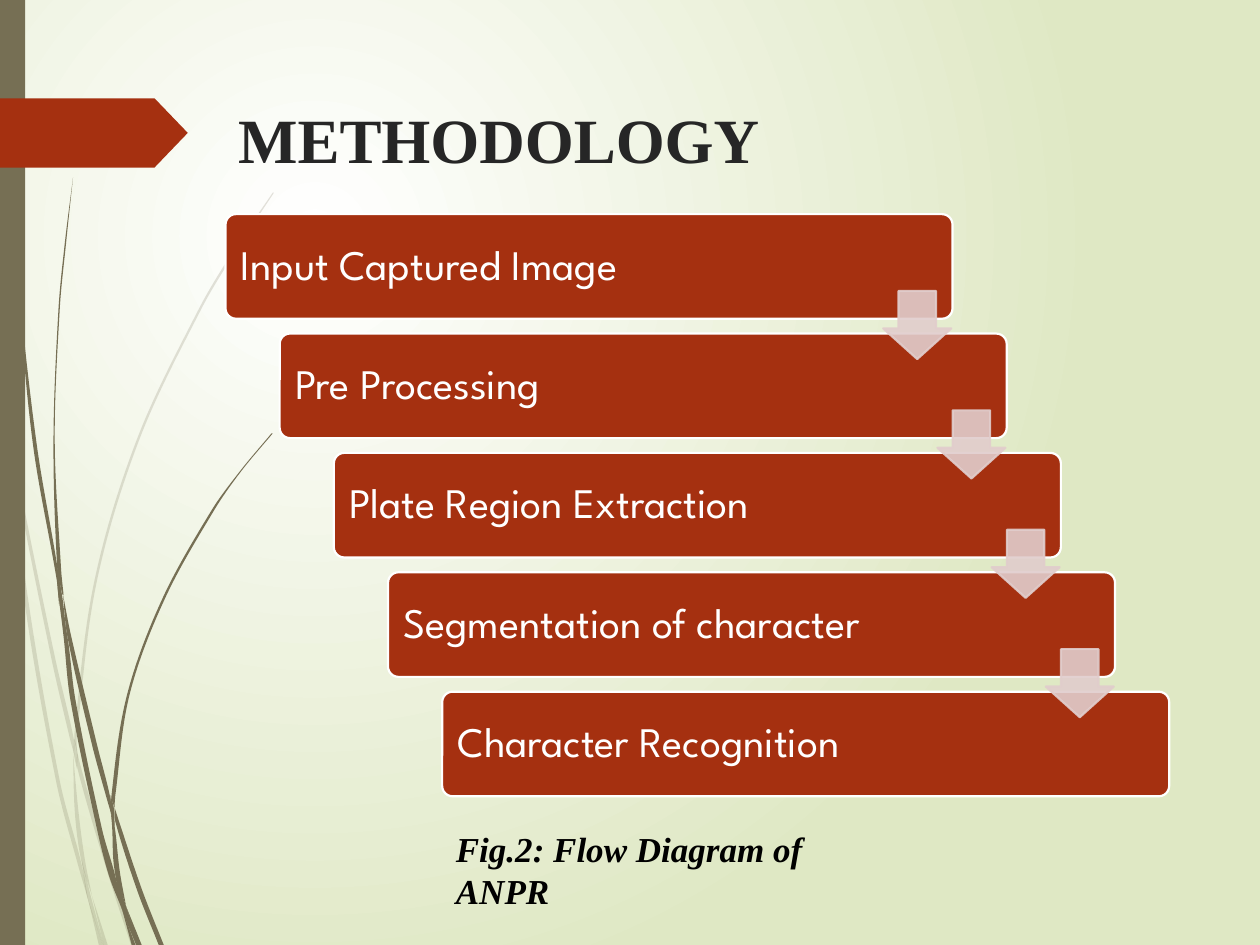
from lxml import etree
from pptx import Presentation
from pptx.dml.color import RGBColor
from pptx.enum.shapes import MSO_SHAPE
from pptx.enum.text import MSO_ANCHOR, PP_ALIGN
from pptx.oxml.ns import qn
from pptx.util import Inches, Pt

RECT, ROUND_RECT = MSO_SHAPE.RECTANGLE, MSO_SHAPE.ROUNDED_RECTANGLE
DOWN_ARROW, PENTAGON = MSO_SHAPE.DOWN_ARROW, MSO_SHAPE.PENTAGON
TOP, MIDDLE, LEFT = MSO_ANCHOR.TOP, MSO_ANCHOR.MIDDLE, PP_ALIGN.LEFT

COLORS = {"red": "A53010", "olive": "766F54", "pink": "E1CDCC", "white": "FFFFFF",
          "green": "DFE8C4", "title": "262626", "black": "000000"}
SERIF, SANS = "Times New Roman", "League Spartan"

STEPS = ["Input Captured Image", "Pre Processing", "Plate Region Extraction",
         "Segmentation of character", "Character Recognition"]
STEP_X, STEP_Y, LAST_Y = 1.79, 1.7, 5.49
STEP_DX, STEP_DY = 0.43, (LAST_Y - STEP_Y) / (len(STEPS) - 1)

# Pieces of grass blades, top to bottom: x of the middle, y, width
FAINT_BLADES = [
    [(0, 2.82, 0), (0.06, 3.22, 0.02), (0.08, 3.5, 0)],
    [(0.1, 3.45, 0), (0.13, 3.76, 0.02), (0.42, 5.21, 0.03), (0.57, 5.86, 0.03),
     (0.59, 5.99, 0)],
    [(0.61, 5.96, 0), (0.63, 6.1, 0.03), (0.87, 6.93, 0.03), (1.06, 7.5, 0.04)],
    [(0.73, 7.11, 0), (0.84, 7.5, 0.03)],
    [(0.08, 3.5, 0), (0.2, 4.7, 0.03), (0.46, 6.2, 0.03), (0.63, 6.85, 0.03),
     (0.7, 7.14, 0)],
    [(0.58, 5.99, 0), (0.61, 6.46, 0.03), (0.66, 6.83, 0.03), (0.73, 7.11, 0)],
    [(2.17, 1.53, 0.01), (1.87, 1.98, 0.02), (1.59, 2.45, 0.02), (1.1, 3.48, 0.02),
     (0.76, 4.61, 0.02), (0.6, 5.84, 0.02), (0.61, 5.96, 0)],
    [(0.7, 7.14, 0), (0.8, 7.5, 0.03)],
    [(0.59, 5.86, 0), (0.6, 5.97, 0.03), (0.61, 6.1, 0)],
    [(0.65, 6.83, 0), (0.68, 6.99, 0.02), (0.71, 7.13, 0.03), (0.82, 7.5, 0.01)],
]
DARK_BLADES = [
    [(0.03, 0, 0.01), (0.05, 1.1, 0.01), (0.15, 2.33, 0.01), (0.28, 3.55, 0.03),
     (0.46, 4.6, 0.02), (0.47, 4.81, 0)],
    [(0.5, 4.72, 0), (0.55, 5.05, 0.03), (0.75, 5.91, 0.04), (0.86, 6.33, 0.03),
     (0.88, 6.45, 0)],
    [(0.91, 6.41, 0), (0.93, 6.52, 0.03), (1.11, 7.07, 0.04), (1.28, 7.5, 0.04)],
    [(0.47, 4.77, 0), (0.52, 5.05, 0.03), (0.58, 5.56, 0.04), (0.79, 6.58, 0.04),
     (0.89, 6.95, 0.05), (0.97, 7.22, 0)],
    [(0.58, 1.41, 0), (0.52, 1.93, 0.01), (0.47, 2.45, 0.01), (0.43, 3.49, 0.01),
     (0.47, 4.51, 0.03), (0.5, 4.72, 0.01)],
    [(1, 7.19, 0), (1.11, 7.5, 0.03)],
    [(0.45, 4.49, 0), (0.48, 4.74, 0.03), (0.53, 5.05, 0)],
    [(2.16, 3.44, 0.01), (1.91, 3.74, 0.01), (1.69, 4.05, 0.02), (1.3, 4.75, 0.02),
     (1.02, 5.51, 0.02), (0.9, 6.32, 0.03), (0.91, 6.41, 0)],
    [(0.97, 7.22, 0), (1.06, 7.5, 0.03)],
    [(0.88, 6.45, 0), (0.9, 6.56, 0.02), (0.93, 6.91, 0.04), (1, 7.19, 0)],
    [(0.88, 6.31, 0), (0.89, 6.42, 0.03), (0.91, 6.56, 0)],
    [(0.91, 6.91, 0), (0.98, 7.19, 0.04), (1.09, 7.5, 0.02)],
]


def bezier(edge):
    """Two control points and an end point for each stretch of a smooth edge."""
    slopes = []
    for i in range(len(edge)):
        (x0, y0), (x1, y1) = edge[max(i - 1, 0)], edge[min(i + 1, len(edge) - 1)]
        slopes.append((x1 - x0) / (y1 - y0))
    points = []
    for (x0, y0), (x1, y1), m0, m1 in zip(edge, edge[1:], slopes, slopes[1:]):
        third = (y1 - y0) / 3
        points += [(x0 + m0 * third, y0 + third), (x1 - m1 * third, y1 - third), (x1, y1)]
    return points


class Deck:
    def __init__(self, slide):
        self.slide = slide
        self.shapes = slide.shapes

    def color(self, name):
        return RGBColor.from_string(COLORS[name])

    def background(self, inner, outer):
        fill = self.slide.background.fill
        fill.gradient()
        for stop, name, pos in zip(fill.gradient_stops, (inner, outer), (0, 1)):
            stop.color.rgb = self.color(name)
            stop.position = pos
        grad = self.slide.element.find(".//" + qn("a:gradFill"))
        grad.remove(grad.find(qn("a:lin")))
        circle = etree.SubElement(grad, qn("a:path"), path="circle")
        etree.SubElement(circle, qn("a:fillToRect"), l="50000", t="50000",
                         r="100000", b="100000")

    def paint(self, sp, fill, line=None, alpha=100):
        sp.shadow.inherit = False
        sp.fill.solid()
        sp.fill.fore_color.rgb = self.color(fill)
        if line:
            sp.line.color.rgb = self.color(line)
            sp.line.width = Pt(1.25)
        else:
            sp.line.fill.background()
        if alpha < 100:
            for clr in sp.element.iter(qn("a:srgbClr")):
                etree.SubElement(clr, qn("a:alpha"), val=str(alpha * 1000))

    def shape(self, kind, x, y, w, h, fill, line=None, alpha=100, adj=()):
        sp = self.shapes.add_shape(kind, Inches(x), Inches(y), Inches(w), Inches(h))
        for i, value in enumerate(adj):
            sp.adjustments[i] = value
        self.paint(sp, fill, line, alpha)
        return sp

    def blade(self, knots, alpha):
        left = [(x - w / 2, y) for x, y, w in knots]
        right = [(x + w / 2, y) for x, y, w in reversed(knots)]
        outline = left[:1] + bezier(left) + right[:1] * 3 + bezier(right)
        points = [(Inches(x), Inches(y)) for x, y in outline]
        builder = self.shapes.build_freeform(*points[0])
        builder.add_line_segments(points[1:], close=True)
        sp = builder.convert_to_shape()
        # Turn every three line segments into one curve
        lines = list(sp.element.iter(qn("a:lnTo")))
        for first, second, third in zip(lines[::3], lines[1::3], lines[2::3]):
            first.tag = qn("a:cubicBezTo")
            for ln in (second, third):
                first.append(ln[0])
                ln.getparent().remove(ln)
        self.paint(sp, "olive", alpha=alpha)

    def text(self, sp, text, size, font, color, bold=False, italic=False, anchor=TOP):
        tf = sp.text_frame
        tf.text = text
        tf.word_wrap = True
        tf.vertical_anchor = anchor
        p = tf.paragraphs[0]
        p.alignment = LEFT
        f = p.runs[0].font
        f.size, f.name, f.bold, f.italic = Pt(size), font, bold, italic
        f.color.rgb = self.color(color)
        return tf

    def title(self, text, x, y, w, h):
        sp = self.shapes.title
        sp.left, sp.top, sp.width, sp.height = Inches(x), Inches(y), Inches(w), Inches(h)
        self.text(sp, text, 36, SERIF, "title", bold=True)

    def caption(self, text, x, y, w, h):
        sp = self.shapes.add_textbox(Inches(x), Inches(y), Inches(w), Inches(h))
        self.text(sp, text, 20, SERIF, "black", bold=True, italic=True)

    def step(self, text, x, y):
        sp = self.shape(ROUND_RECT, x, y, 5.77, 0.83, "red", "white", adj=[0.1])
        tf = self.text(sp, text, 24, SANS, "white", anchor=MIDDLE)
        tf.margin_left = Inches(0.1)
        tf.paragraphs[0].line_spacing = 0.9


def main():
    prs = Presentation()
    prs.slide_width, prs.slide_height = Inches(10), Inches(7.5)
    deck = Deck(prs.slides.add_slide(prs.slide_layouts[5]))

    # Backdrop: gradient, grass, side bar and tag
    deck.background("white", "green")
    for blades, alpha in ((FAINT_BLADES, 20), (DARK_BLADES, 100)):
        for knots in blades:
            deck.blade(knots, alpha)
    deck.shape(RECT, 0, 0, 0.2, 7.5, "olive")
    deck.shape(PENTAGON, 0, 0.78, 1.49, 0.55, "red", adj=[0.48])

    # Title and caption
    deck.title("METHODOLOGY", 1.79, 0.75, 7.21, 1.4)
    deck.caption("Fig.2: Flow Diagram of ANPR", 3.52, 6.52, 3.7, 0.44)

    # Staircase of steps, then the arrows between them
    corners = [(STEP_X + i * STEP_DX, STEP_Y + i * STEP_DY) for i in range(len(STEPS))]
    for text, (x, y) in zip(STEPS, corners):
        deck.step(text, x, y)
    for x, y in corners[:-1]:
        deck.shape(DOWN_ARROW, x + 5.22, y + 0.61, 0.54, 0.54, "pink", "pink",
                   alpha=90, adj=[0.55, 0.45])

    prs.save("out.pptx")


if __name__ == "__main__":
    main()
